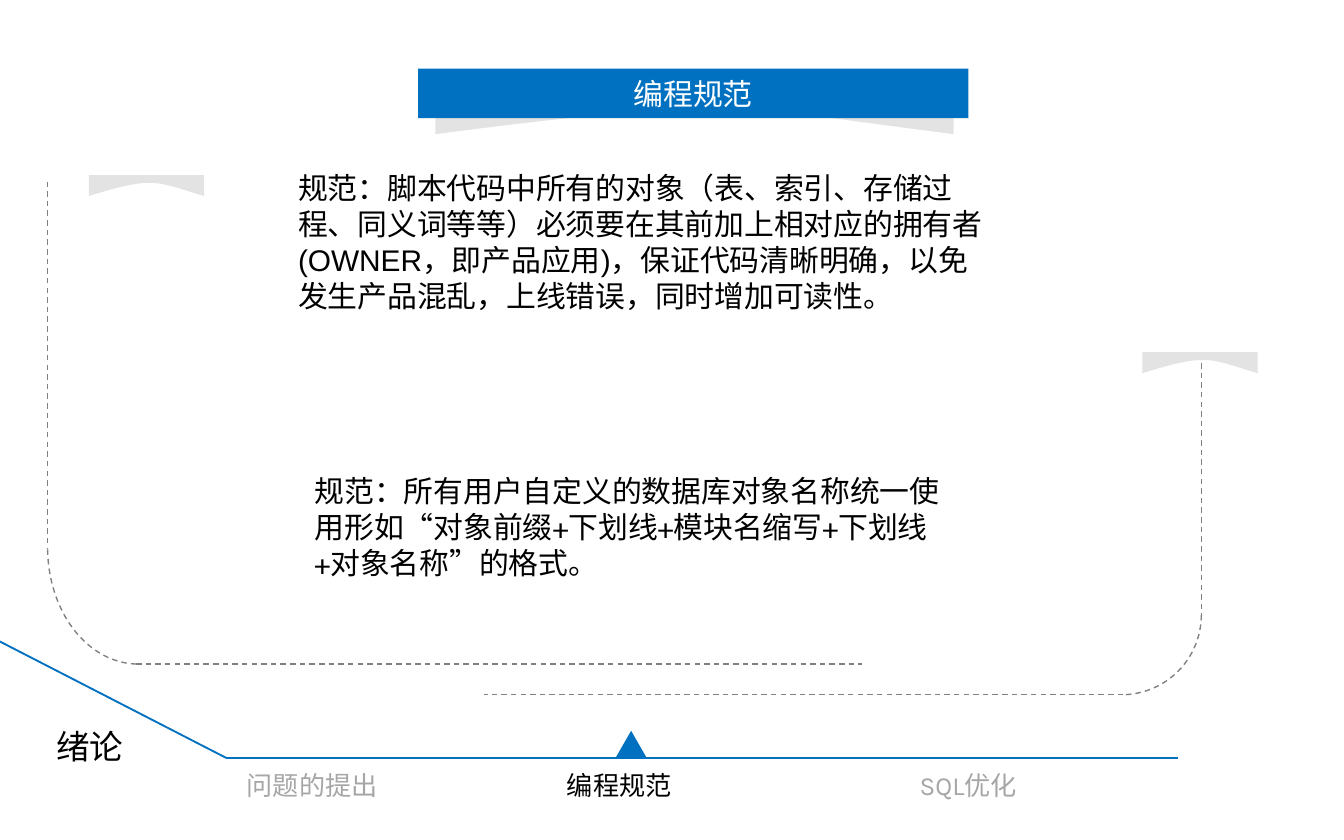
from lxml import etree
from pptx import Presentation
from pptx.dml.color import RGBColor
from pptx.enum.dml import MSO_LINE
from pptx.enum.shapes import MSO_CONNECTOR, MSO_SHAPE
from pptx.enum.text import MSO_ANCHOR, PP_ALIGN
from pptx.oxml.ns import qn
from pptx.util import Pt

DASH = MSO_LINE.DASH
STRAIGHT = MSO_CONNECTOR.STRAIGHT
ARC = MSO_SHAPE.ARC
RECT = MSO_SHAPE.RECTANGLE
TRIANGLE = MSO_SHAPE.ISOSCELES_TRIANGLE
LEFT, CENTER = PP_ALIGN.LEFT, PP_ALIGN.CENTER
TOP, MIDDLE = MSO_ANCHOR.TOP, MSO_ANCHOR.MIDDLE
BLUE, GRAY, PALE = "0070C0", "808080", "DDDDDD"
BLACK, WHITE, MUTED = "000000", "FFFFFF", "A6A6A6"
HAN = "Noto Sans CJK SC"


def color(code):
    """Turn a hex string into a colour."""
    return RGBColor.from_string(code)


def write(shape, text, size=16, font="Karla", fill=BLACK, align=LEFT, anchor=TOP):
    """Put formatted text into a shape."""
    frame = shape.text_frame
    frame.word_wrap = True
    frame.vertical_anchor = anchor
    para = frame.paragraphs[0]
    para.alignment = align
    para._p.get_or_add_pPr().set("hangingPunct", "0")
    run = para.add_run()
    run.text = text
    run.font.size = Pt(size)
    run.font.name = font
    run.font.color.rgb = color(fill)
    east = etree.SubElement(run.font._element, qn("a:ea"))
    east.set("typeface", HAN)


def label(slide, box, text, **style):
    """Add a text box."""
    write(slide.shapes.add_textbox(*map(Pt, box)), text, **style)


def solid(slide, kind, box, fill):
    """Add a filled preset shape without an outline."""
    shape = slide.shapes.add_shape(kind, *map(Pt, box))
    shape.shadow.inherit = False
    shape.fill.solid()
    shape.fill.fore_color.rgb = color(fill)
    shape.line.fill.background()
    return shape


def stroke(line, fill, width, dash=None):
    """Style a line."""
    line.color.rgb = color(fill)
    line.width = Pt(width)
    if dash is not None:
        line.dash_style = dash


def link(slide, start, end, fill=GRAY, width=0.75, dash=DASH):
    """Add a straight line between two points."""
    line = slide.shapes.add_connector(STRAIGHT, *map(Pt, start + end))
    stroke(line.line, fill, width, dash)
    etree.SubElement(line._element.spPr, qn("a:effectLst"))


def shade(slide, x, y, width, height, first, second):
    """Add a pale shadow with a curved lower edge."""
    right, low = x + width, y + height
    bends = [(x + dx, y + dy) for dx, dy in (first, second)]
    points = [(right, y), (right, low), *bends, (x, low)]
    pen = slide.shapes.build_freeform(Pt(x), Pt(y))
    pen.add_line_segments([(Pt(a), Pt(b)) for a, b in points], close=True)
    shape = pen.convert_to_shape()
    shape.shadow.inherit = False
    lines = list(shape._element.iter(qn("a:lnTo")))[2:5]
    cubic = etree.Element(qn("a:cubicBezTo"))
    lines[0].addprevious(cubic)
    for line in lines:
        cubic.append(line[0])
        line.getparent().remove(line)
    shape.fill.solid()
    shape.fill.fore_color.rgb = color(PALE)
    tint = shape._element.spPr.find(qn("a:solidFill"))[0]
    etree.SubElement(tint, qn("a:alpha")).set("val", "80000")
    shape.line.fill.background()


def rail(slide, top, side, foot, end, box, angles):
    """Add a dashed rail that turns a round corner."""
    arc = slide.shapes.add_shape(ARC, *map(Pt, box))
    arc.shadow.inherit = False
    for i, angle in enumerate(angles):
        arc.adjustments[i] = angle * 0.6
    arc.fill.background()
    stroke(arc.line, GRAY, 0.75, DASH)
    link(slide, (side[0], top), side)
    link(slide, foot, (end, foot[1]))


def main():
    """Build the slide."""
    deck = Presentation()
    deck.slide_width, deck.slide_height = Pt(720), Pt(450)
    slide = deck.slides.add_slide(deck.slide_layouts[6])

    for x, y in ((612, 188.7), (47.6, 93.8)):
        shade(slide, x, y, 61.7, 11.2, (35.3, 3.4), (35.3, 0.3))

    link(slide, (-2, 342.7), (121.5, 406.2), BLUE, 1, None)
    link(slide, (121.3, 406.2), (631, 406.2), BLUE, 1, None)
    label(slide, (2.8, 385.2, 90.7, 29), "绪论", size=18, align=CENTER)
    tabs = ((105, 124.6, "问题的提出", MUTED),
            (248.6, 166.3, "编程规范", BLACK),
            (433.8, 170, "SQL优化", MUTED))
    for x, width, text, fill in tabs:
        label(slide, (x, 408.6, width, 24.5), text, size=14, fill=fill, align=CENTER)

    shade(slide, 233.2, 50.4, 277.7, 21.5, (159, 6.5), (160.6, 0.7))
    title = solid(slide, RECT, (224, 36.8, 294.8, 26.5), BLUE)
    write(title, "编程规范", font=HAN, fill=WHITE, align=CENTER, anchor=MIDDLE)
    solid(slide, TRIANGLE, (329.5, 391.5, 17.2, 15), BLUE)

    label(slide, (152.6, 87.5, 388, 84),
          "规范：脚本代码中所有的对象（表、索引、存储过程、同义词等等）必须要在其前加上"
          "相对应的拥有者(OWNER，即产品应用)，保证代码清晰明确，以免发生产品混乱，"
          "上线错误，同时增加可读性。", font="Arial")
    label(slide, (161.5, 249.7, 360, 65),
          "规范：所有用户自定义的数据库对象名称统一使用形如“对象前缀+下划线+模块名缩写"
          "+下划线+对象名称”的格式。")

    rail(slide, 97.3, (25.5, 293.8), (72.9, 355.8), 462,
         (25.5, 231.2, 97.2, 124.6), (91, 180))
    rail(slide, 194.5, (643.6, 329.8), (601.7, 372.2), 259.2,
         (558, 286.6, 85.6, 85.6), (0, 89))
    deck.save("out.pptx")


if __name__ == "__main__":
    main()
